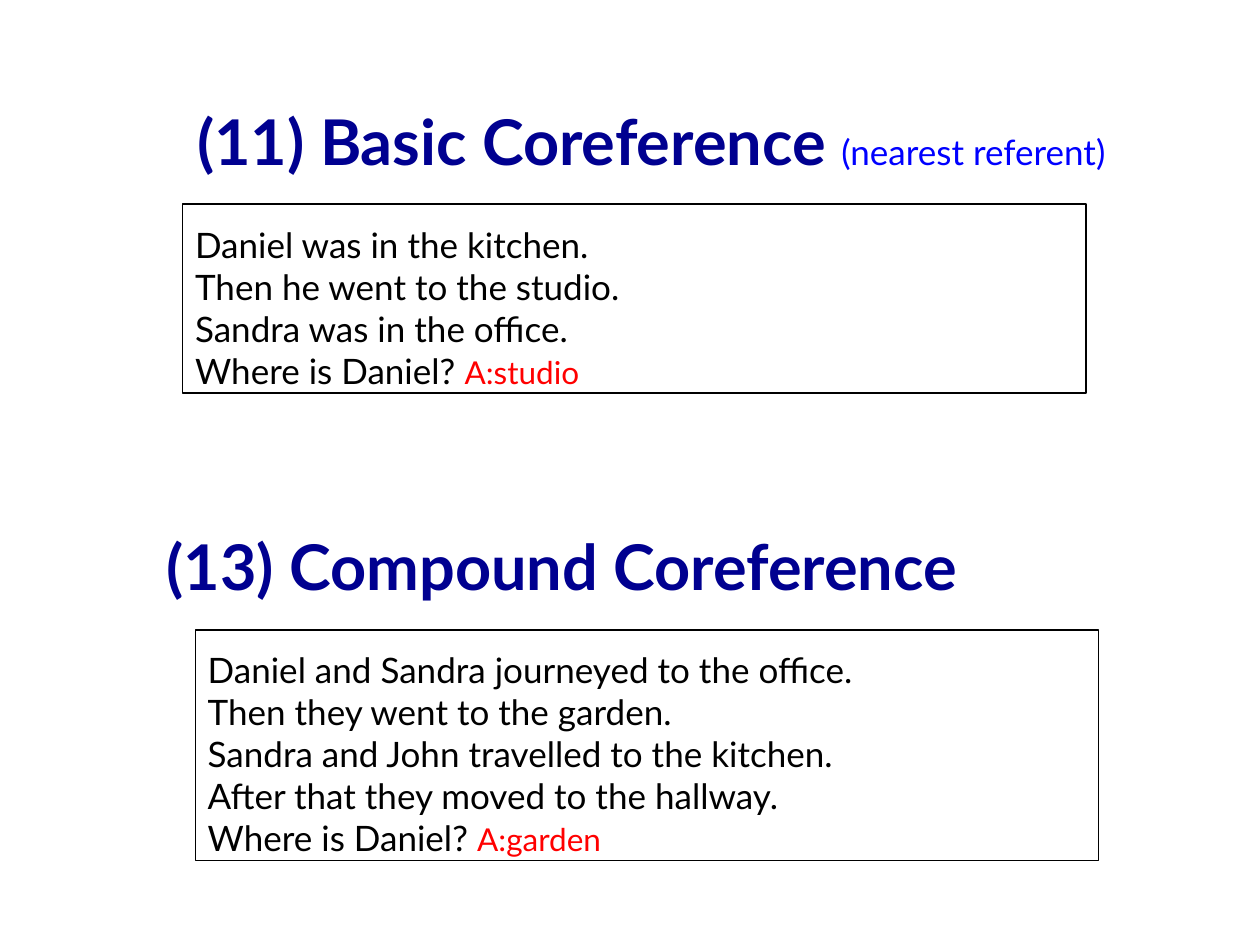
import pptx
import pptx.dml.color
import pptx.enum.shapes
import pptx.enum.text
import pptx.util

Inches = pptx.util.Inches
ALIGN = pptx.enum.text.PP_ALIGN
ANCHOR = pptx.enum.text.MSO_ANCHOR
COLORS = {
    "heading": "000090",
    "remark": "0000FF",
    "story": "000000",
    "answer": "FF0000",
    "border": "000000",
}


def add_run(paragraph, text, size, color, bold=False):
    run = paragraph.add_run()
    run.text = text
    run.font.name = "Lato"
    run.font.size = pptx.util.Pt(size)
    run.font.bold = bold
    run.font.color.rgb = pptx.dml.color.RGBColor.from_string(COLORS[color])


# heading, remark, heading left and top, story left, top and height, story, question, answer
tasks = [
    ("(11) Basic Coreference", "(nearest referent)", 0.77, 0, 1.45, 1.62, 1.5,
     ["Daniel was in the kitchen.",
      "Then he went to the studio.",
      "Sandra was in the office."],
     "Where is Daniel? ", "A:studio"),
    ("(13) Compound Coreference", None, 0.06, 3.38, 1.55, 5, 1.83,
     ["Daniel and Sandra journeyed to the office.",
      "Then they went to the garden.",
      "Sandra and John travelled to the kitchen.",
      "After that they moved to the hallway."],
     "Where is Daniel? ", "A:garden"),
]

deck = pptx.Presentation()
deck.slide_width = Inches(10)
deck.slide_height = Inches(7.5)
slide = deck.slides.add_slide(deck.slide_layouts[6])

for (heading, remark, heading_left, heading_top, story_left, story_top,
     story_height, sentences, question, answer) in tasks:
    title = slide.shapes.add_textbox(
        Inches(heading_left), Inches(heading_top), Inches(8.8), Inches(1.46)).text_frame
    title.word_wrap = True
    title.vertical_anchor = ANCHOR.BOTTOM
    title_line = title.paragraphs[0]
    title_line.alignment = ALIGN.CENTER
    add_run(title_line, heading + (" " if remark else ""), 36, "heading", bold=True)
    if remark:
        add_run(title_line, remark, 20, "remark")

    panel = slide.shapes.add_shape(
        pptx.enum.shapes.MSO_SHAPE.RECTANGLE,
        Inches(story_left), Inches(story_top), Inches(7.17), Inches(story_height))
    panel.shadow.inherit = False
    panel.fill.background()
    panel.line.color.rgb = pptx.dml.color.RGBColor.from_string(COLORS["border"])
    panel.line.width = pptx.util.Pt(0.75)

    story = panel.text_frame
    story.word_wrap = True
    story.auto_size = pptx.enum.text.MSO_AUTO_SIZE.SHAPE_TO_FIT_TEXT
    story.vertical_anchor = ANCHOR.TOP
    story.margin_left = story.margin_right = Inches(0.1)
    story.margin_top = Inches(0.15)
    story.margin_bottom = Inches(0)
    for number, sentence in enumerate(sentences + [question]):
        line = story.add_paragraph() if number else story.paragraphs[0]
        line.alignment = ALIGN.LEFT
        add_run(line, sentence, 20, "story")
    add_run(line, answer, 18, "answer")

deck.save("out.pptx")
